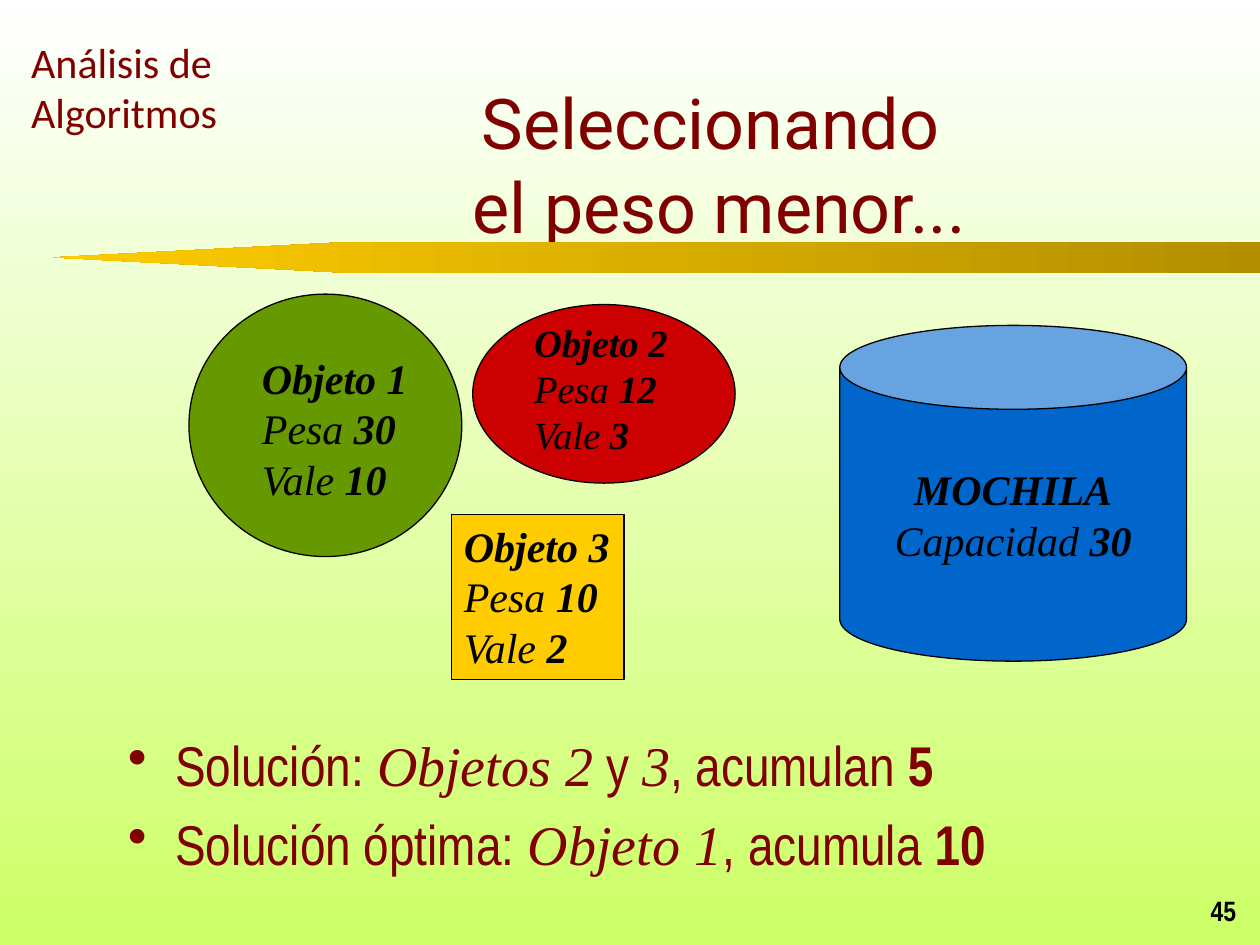
from lxml.etree import SubElement
from pptx import Presentation
from pptx.dml.color import RGBColor
from pptx.enum.shapes import MSO_SHAPE
from pptx.enum.text import MSO_ANCHOR, PP_ALIGN
from pptx.oxml.ns import qn
from pptx.util import Cm, Pt

MAROON = RGBColor(0x80, 0x00, 0x00)
BLACK = RGBColor(0x00, 0x00, 0x00)
WHITE = RGBColor(0xFF, 0xFF, 0xFF)
LIME = RGBColor(0xCC, 0xFF, 0x66)
GREEN = RGBColor(0x66, 0x99, 0x00)
RED = RGBColor(0xCC, 0x00, 0x00)
YELLOW = RGBColor(0xFF, 0xCC, 0x00)
DARK_GOLD = RGBColor(0xB3, 0x8F, 0x00)
BLUE = RGBColor(0x00, 0x66, 0xCC)

SERIF = "Times New Roman"
NARROW = "Arial Narrow"

COURSE = ["Análisis de", "Algoritmos"]
TITLE = "Seleccionando \vel peso menor..."
PAGE_NUMBER = "45"

OBJECTS = [
    {"name": "Objeto 1", "facts": [("Pesa ", "30"), ("Vale ", "10")], "size": 24,
     "shape": MSO_SHAPE.OVAL, "fill": GREEN,
     "box": (3.81, 5.93, 5.5, 5.29), "label": (5.03, 6.98, 3.45, 3.3)},
    {"name": "Objeto 2", "facts": [("Pesa ", "12"), ("Vale ", "3")], "size": 22,
     "shape": MSO_SHAPE.OVAL, "fill": RED,
     "box": (9.53, 6.14, 5.29, 3.6), "label": (10.52, 6.3, 3.2, 3.05)},
    {"name": "Objeto 3", "facts": [("Pesa ", "10"), ("Vale ", "2")], "size": 24,
     "shape": MSO_SHAPE.RECTANGLE, "fill": YELLOW,
     "box": (9.1, 10.37, 3.48, 3.33)},
    {"name": "MOCHILA", "facts": [("Capacidad ", "30")], "size": 24,
     "shape": MSO_SHAPE.CAN, "fill": BLUE, "centred": True,
     "box": (16.93, 6.56, 6.99, 6.77)},
]

PLAIN, ITALIC, BOLD = "plain", "italic", "bold"
SOLUTIONS = [
    [("Solución: ", PLAIN), ("Objetos 2", ITALIC), (" y ", PLAIN), ("3", ITALIC),
     (", acumulan ", PLAIN), ("5", BOLD)],
    [("Solución óptima: ", PLAIN), ("Objeto 1", ITALIC), (", acumula ", PLAIN),
     ("10", BOLD)],
]


def set_font(font, name, size, color):
    font.name = name
    font.size = Pt(size)
    font.color.rgb = color


def set_gradient(fill, colors, angle):
    fill.gradient()
    fill.gradient_angle = angle
    for stop, color in zip(fill.gradient_stops, colors):
        stop.color.rgb = color


def add_text_frame(slide, box, wrap=True):
    text_frame = slide.shapes.add_textbox(*map(Cm, box)).text_frame
    text_frame.word_wrap = wrap
    return text_frame


def next_paragraph(text_frame, index):
    return text_frame.add_paragraph() if index else text_frame.paragraphs[0]


def add_band(slide):
    band = slide.shapes.add_shape(
        MSO_SHAPE.PENTAGON, Cm(1.07), Cm(4.87), Cm(24.33), Cm(0.64))
    band.adjustments[0] = 9.58
    band.shadow.inherit = False
    band.line.fill.background()
    set_gradient(band.fill, (DARK_GOLD, YELLOW), 0)
    band._element.spPr.find(qn("a:xfrm")).set("flipH", "1")


def add_course(slide):
    text_frame = add_text_frame(slide, (0.38, 0.61, 5.77, 2.29))
    for index, line in enumerate(COURSE):
        paragraph = next_paragraph(text_frame, index)
        paragraph.text = line
        set_font(paragraph.font, "Calibri", 24, MAROON)


def add_page_number(slide):
    text_frame = add_text_frame(slide, (19.89, 17.98, 5.28, 0.84))
    text_frame.vertical_anchor = MSO_ANCHOR.BOTTOM
    paragraph = text_frame.paragraphs[0]
    paragraph.text = PAGE_NUMBER
    paragraph.alignment = PP_ALIGN.RIGHT
    set_font(paragraph.font, NARROW, 16, BLACK)
    paragraph.font.bold = True


def format_title(slide):
    title = slide.shapes.title
    title.left, title.top, title.width, title.height = map(
        Cm, (5.51, 1.7, 17.98, 3.18))
    text_frame = title.text_frame
    text_frame.text = TITLE
    text_frame.vertical_anchor = MSO_ANCHOR.MIDDLE
    paragraph = text_frame.paragraphs[0]
    paragraph.alignment = PP_ALIGN.CENTER
    set_font(paragraph.font, "Roboto", 40, MAROON)


def add_solutions(slide):
    text_frame = add_text_frame(slide, (2.33, 14.61, 20.75, 3.18))
    for index, parts in enumerate(SOLUTIONS):
        paragraph = next_paragraph(text_frame, index)
        paragraph.space_before = Pt(6.4)
        set_font(paragraph.font, NARROW, 32, MAROON)
        properties = paragraph._p.get_or_add_pPr()
        properties.set("marL", str(Cm(0.95)))
        properties.set("indent", str(-Cm(0.95)))
        bullet = SubElement(properties, qn("a:buChar"), char="•")
        properties.find(qn("a:defRPr")).addprevious(bullet)
        for text, style in parts:
            run = paragraph.add_run()
            run.text = text
            set_font(run.font, SERIF if style == ITALIC else NARROW, 32, MAROON)
            run.font.italic = style == ITALIC
            run.font.bold = style == BOLD


def fill_label(text_frame, item):
    centred = item.get("centred", False)
    text_frame.word_wrap = False
    text_frame.vertical_anchor = MSO_ANCHOR.MIDDLE if centred else MSO_ANCHOR.TOP
    lines = [("", item["name"])] + item["facts"]
    for index, (caption, value) in enumerate(lines):
        paragraph = next_paragraph(text_frame, index)
        paragraph.alignment = PP_ALIGN.CENTER if centred else PP_ALIGN.LEFT
        set_font(paragraph.font, SERIF, item["size"], BLACK)
        paragraph.font.italic = True
        for text, bold in ((caption, False), (value, True)):
            if text:
                run = paragraph.add_run()
                run.text = text
                set_font(run.font, SERIF, item["size"], BLACK)
                run.font.bold = bold
                run.font.italic = True


def add_object(slide, item):
    shape = slide.shapes.add_shape(item["shape"], *map(Cm, item["box"]))
    shape.shadow.inherit = False
    shape.fill.solid()
    shape.fill.fore_color.rgb = item["fill"]
    shape.line.color.rgb = BLACK
    shape.line.width = Pt(0.75)
    if "label" in item:
        fill_label(add_text_frame(slide, item["label"]), item)
    else:
        fill_label(shape.text_frame, item)


def main():
    presentation = Presentation()
    presentation.slide_width = Cm(25.4)
    presentation.slide_height = Cm(19.05)
    slide = presentation.slides.add_slide(presentation.slide_layouts[5])
    set_gradient(slide.background.fill, (WHITE, LIME), 270)
    add_band(slide)
    add_course(slide)
    add_page_number(slide)
    format_title(slide)
    add_solutions(slide)
    for item in OBJECTS:
        add_object(slide, item)
    presentation.save("out.pptx")


if __name__ == "__main__":
    main()
